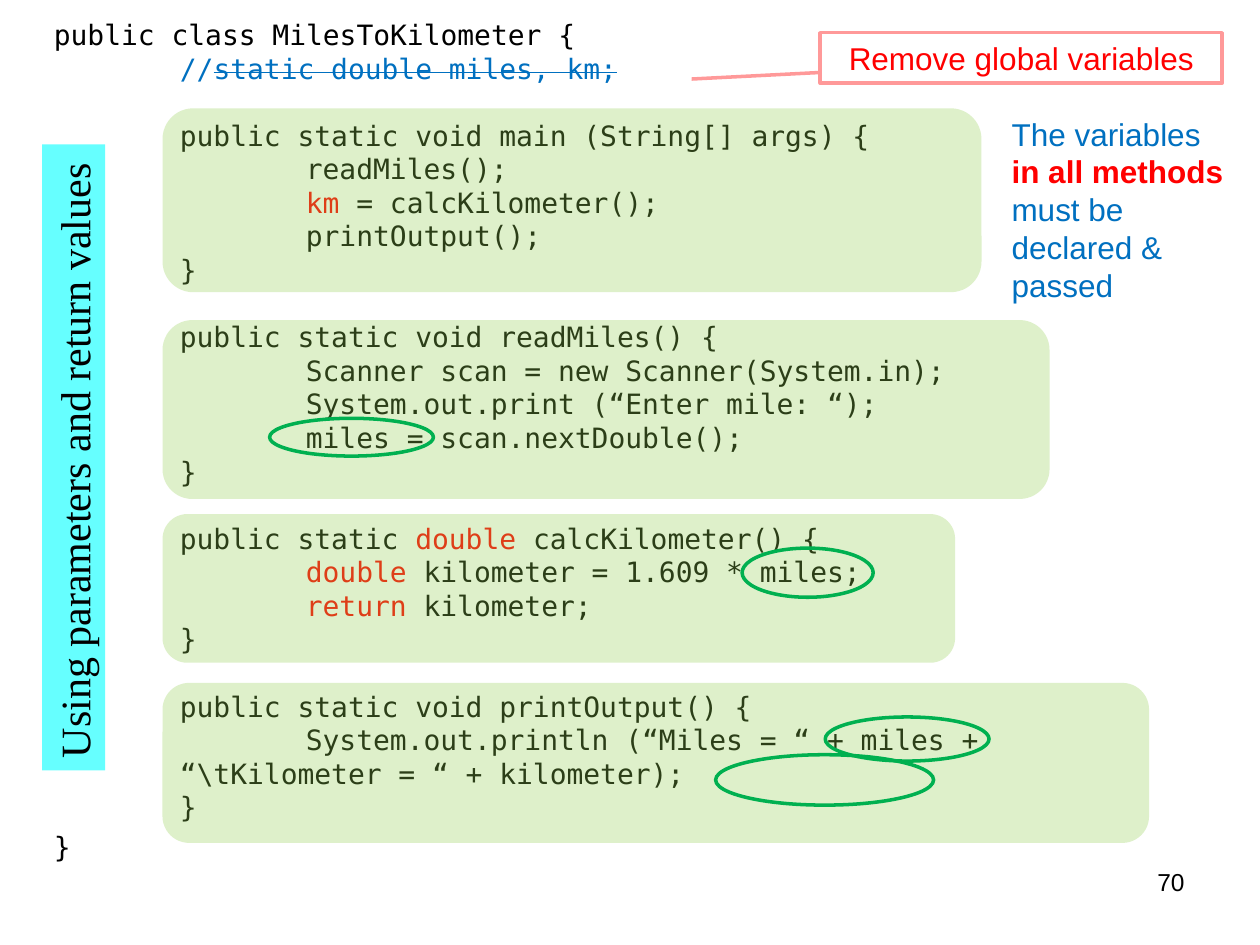
from lxml import etree
from pptx import Presentation
from pptx import util as u
from pptx.dml.color import RGBColor
from pptx.enum import shapes, text
from pptx.oxml.ns import qn

BLACK = RGBColor(0x00, 0x00, 0x00)
RED = RGBColor(0xFF, 0x00, 0x00)
BLUE = RGBColor(0x00, 0x70, 0xC0)
LIME = RGBColor(0x92, 0xD0, 0x50)
GREEN = RGBColor(0x00, 0xB0, 0x50)
PINK = RGBColor(0xFF, 0x99, 0x99)
CYAN = RGBColor(0x66, 0xFF, 0xFF)

MONO = {"name": "DejaVu Sans Mono", "size": u.Pt(16)}
SANS = {"name": "Arial", "size": u.Pt(18)}
SERIF = {"name": "Times New Roman", "size": u.Pt(24)}
GAP = u.Pt(19.2)

HEAD = [
    [("public class MilesToKilometer {", BLACK)],
    [("\t//", BLUE), ("static double miles, km;", BLUE, "strike")],
]
MAIN = [
    [("\tpublic static void main (String[] args) {", BLACK)],
    [("\t\treadMiles();", BLACK)],
    [("\t\t", BLACK), ("km", RED), (" = calcKilometer();", BLACK)],
    [("\t\tprintOutput();", BLACK)],
    [("\t}", BLACK)],
]
READ = [
    [("\tpublic static void readMiles() {", BLACK)],
    [("\t\tScanner scan = new Scanner(System.in);", BLACK)],
    [("\t\tSystem.out.print (“Enter mile: “);", BLACK)],
    [("\t\tmiles = scan.nextDouble();", BLACK)],
    [("\t}", BLACK)],
]
CALC = [
    [("\tpublic static ", BLACK), ("double ", RED), ("calcKilometer() {", BLACK)],
    [("\t\t", BLACK), ("double", RED), (" kilometer = 1.609 * miles;", BLACK)],
    [("\t\t", BLACK), ("return", RED), (" kilometer;", BLACK)],
    [("\t}", BLACK)],
]
PRINT = [
    [("\tpublic static void printOutput() {", BLACK)],
    [("\t\tSystem.out.println (“Miles = “ + miles +", BLACK)],
    [("\t“\\tKilometer = “ + kilometer);", BLACK)],
    [("\t}", BLACK)],
]
TAIL = [[("}", BLACK)]]
CODE = [(HEAD, 0), (MAIN, GAP), (READ, GAP), (CALC, GAP), (PRINT, GAP), (TAIL, u.Pt(3.5))]

PANELS = [(0.86, 6.5, 1.46), (2.54, 7.04, 1.42), (4.08, 6.29, 1.18), (5.42, 7.83, 1.27)]
RINGS = [(2.14, 3.32, 1.3, 0.3), (5.89, 4.35, 1.04, 0.39),
         (6.55, 5.69, 1.3, 0.35), (5.68, 5.99, 1.73, 0.4)]


def put(item, vals):
    for key, val in vals.items():
        setattr(item, key, val)


def write(para, parts, font):
    for words, color, *marks in parts:
        run = para.add_run()
        run.text = words
        put(run.font, font)
        run.font.color.rgb = color
        if "bold" in marks:
            run.font.bold = True
        if "strike" in marks:
            run.font._element.set("strike", "sngStrike")


def label(slide, at, parts, font, align=text.PP_ALIGN.LEFT):
    box = slide.shapes.add_textbox(*map(u.Inches, at))
    box.text_frame.word_wrap = True
    para = box.text_frame.paragraphs[0]
    para.alignment = align
    write(para, parts, font)


def shape(slide, kind, at, fill=None, line=None):
    item = slide.shapes.add_shape(kind, *map(u.Inches, at))
    item.shadow.inherit = False
    if fill is None:
        item.fill.background()
    else:
        item.fill.solid()
        item.fill.fore_color.rgb = fill
    if line is None:
        item.line.fill.background()
    else:
        item.line.color.rgb = line
        item.line.width = u.Pt(2)
    return item


def tabs(para):
    stops = etree.SubElement(para._p.get_or_add_pPr(), qn("a:tabLst"))
    for inch in (1, 2):
        stop = etree.SubElement(stops, qn("a:tab"))
        stop.set("pos", str(u.Inches(inch)))
        stop.set("algn", "l")


def code(slide):
    box = slide.shapes.add_textbox(*map(u.Inches, (0.33, 0.09, 9.37, 6.97)))
    frame = box.text_frame
    frame.word_wrap = True
    para = frame.paragraphs[0]
    for block, gap in CODE:
        for row, parts in enumerate(block):
            if para.runs:
                para = frame.add_paragraph()
            if row == 0 and gap:
                para.space_before = gap
            tabs(para)
            write(para, parts, MONO)


def panel(slide, top, width, height):
    kind = shapes.MSO_SHAPE.ROUNDED_RECTANGLE
    item = shape(slide, kind, (1.29, top, width, height), LIME)
    tone = item._element.spPr.find(qn("a:solidFill"))[0]
    etree.SubElement(tone, qn("a:alpha")).set("val", "30000")


def callout(slide):
    kind = shapes.MSO_SHAPE.LINE_CALLOUT_1
    item = shape(slide, kind, (6.51, 0.26, 3.19, 0.4), line=PINK)
    for spot, val in enumerate((0.79, 0, 0.92, -0.32)):
        item.adjustments[spot] = val
    put(item.text_frame, {"word_wrap": True, "vertical_anchor": text.MSO_ANCHOR.MIDDLE})
    para = item.text_frame.paragraphs[0]
    para.alignment = text.PP_ALIGN.CENTER
    write(para, [("Remove global variables", RED)], SANS)


def banner(slide):
    item = shape(slide, shapes.MSO_SHAPE.RECTANGLE, (-1.9, 3.38, 4.97, 0.5), CYAN)
    item.rotation = 270
    put(item.text_frame, {"word_wrap": False, "vertical_anchor": text.MSO_ANCHOR.TOP})
    para = item.text_frame.paragraphs[0]
    para.alignment = text.PP_ALIGN.LEFT
    write(para, [("Using parameters and return values", BLACK)], SERIF)


def main():
    deck = Presentation()
    put(deck, {"slide_width": u.Inches(10), "slide_height": u.Inches(7.5)})
    slide = deck.slides.add_slide(deck.slide_layouts[6])
    code(slide)
    for spot in PANELS:
        panel(slide, *spot)
    label(slide, (7.17, 6.83, 2.33, 0.52), [("70", BLACK)],
          {**SANS, "size": u.Pt(14)}, text.PP_ALIGN.RIGHT)
    for at in RINGS:
        shape(slide, shapes.MSO_SHAPE.OVAL, at, line=GREEN)
    label(slide, (7.93, 0.86, 1.91, 1.62),
          [("The variables ", BLUE), ("in all methods ", RED, "bold"),
           ("must be declared & passed", BLUE)], SANS)
    callout(slide)
    banner(slide)
    deck.save("out.pptx")


if __name__ == "__main__":
    main()
